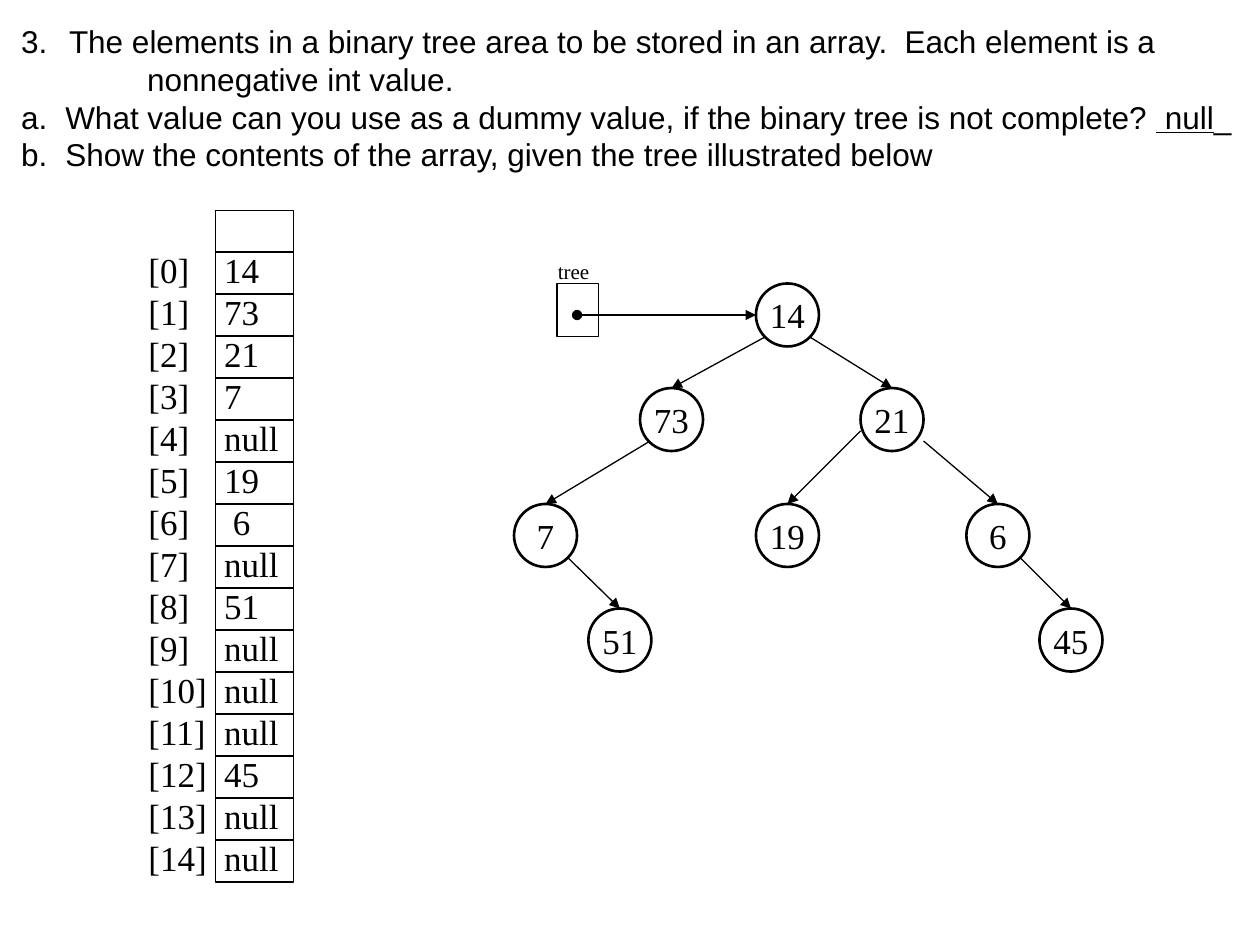
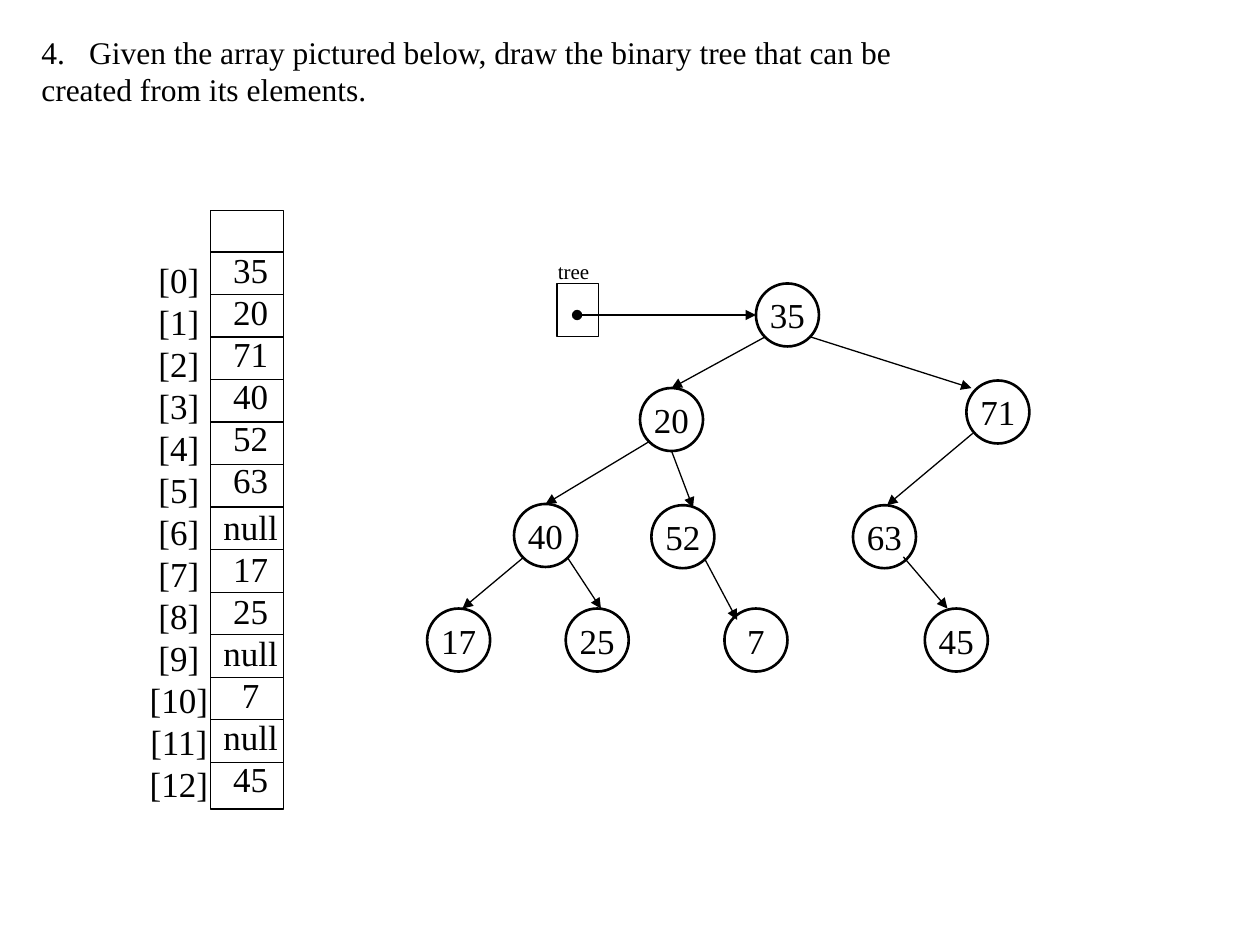
from dataclasses import dataclass

from lxml import etree
from pptx import Presentation
from pptx.dml.color import RGBColor
from pptx.enum import shapes, text
from pptx.oxml import ns
from pptx.util import Inches, Pt

INK = "000000"
SERIF, SANS = "Times New Roman", "Arial"
NODE_SIZE = 0.5
ARRAY_TOP = 1.67
FIRST_LINE = 2.0
LEFT, CENTER = text.PP_ALIGN.LEFT, text.PP_ALIGN.CENTER


@dataclass
class Line:
    content: str
    underlined: str = ""
    ending: str = ""
    margin: float = 0
    hang: float = 0
    number: int = 0
    before: float = 0


@dataclass
class Style:
    font: str = SERIF
    size: float = 20
    spacing: float = 24
    align: text.PP_ALIGN = LEFT


@dataclass
class Column:
    left: float
    top: float
    width: float
    align: text.PP_ALIGN


@dataclass
class ArrayBox:
    left: float
    width: float
    height: float
    row: float
    indices: Column
    contents: Column
    values: list[Line]


@dataclass
class Node:
    label: str
    left: float
    top: float


@dataclass
class Edge:
    parent: str
    child: str
    start: tuple[float, float] = (0.08, 0.42)
    end: tuple[float, float] = (0.25, 0)


@dataclass
class Exercise:
    question_at: tuple[float, float, float]
    question: list[Line]
    question_style: Style
    array: ArrayBox
    nodes: list[Node]
    edges: list[Edge]


def color(value: str) -> RGBColor:
    return RGBColor.from_string(value)


def add_run(paragraph, content: str, style: Style, underline: bool = False) -> None:
    run = paragraph.add_run()
    run.text = content
    formats = {"name": style.font, "size": Pt(style.size), "underline": underline or None}
    for attribute, value in formats.items():
        setattr(run.font, attribute, value)
    run.font.color.rgb = color(INK)


def indent(paragraph, line: Line) -> None:
    properties = paragraph._p.get_or_add_pPr()
    properties.set("marL", str(Inches(line.margin)))
    properties.set("indent", str(-Inches(line.hang)))
    if line.number:
        numbering = etree.SubElement(properties, ns.qn("a:buAutoNum"))
        numbering.set("type", "arabicPeriod")
        numbering.set("startAt", str(line.number))


def add_lines(slide, left: float, top: float, width: float, lines: list[Line], style: Style) -> None:
    height = len(lines) * style.spacing / 72 + 0.1
    frame = slide.shapes.add_textbox(Inches(left), Inches(top), Inches(width), Inches(height)).text_frame
    frame.word_wrap = True
    for position, line in enumerate(lines):
        paragraph = frame.add_paragraph() if position else frame.paragraphs[0]
        formats = {"alignment": style.align, "line_spacing": Pt(style.spacing), "space_before": Pt(line.before)}
        for attribute, value in formats.items():
            setattr(paragraph, attribute, value)
        indent(paragraph, line)
        add_run(paragraph, line.content, style)
        if line.underlined:
            add_run(paragraph, line.underlined, style, underline=True)
            add_run(paragraph, line.ending, style)


def add_outline(slide, kind, left: float, top: float, width: float, height: float, weight: float = 0.75):
    outline = slide.shapes.add_shape(kind, Inches(left), Inches(top), Inches(width), Inches(height))
    outline.shadow.inherit = False
    outline.fill.background()
    outline.line.color.rgb = color(INK)
    outline.line.width = Pt(weight)
    return outline


def add_line(slide, start: tuple[float, float], end: tuple[float, float], **ends: str) -> None:
    points = [Inches(value) for value in (*start, *end)]
    line = slide.shapes.add_connector(shapes.MSO_CONNECTOR.STRAIGHT, *points)
    line.line.color.rgb = color(INK)
    line.line.width = Pt(0.75)
    for tag, kind in ends.items():
        etree.SubElement(line.line._get_or_add_ln(), ns.qn(f"a:{tag}")).set("type", kind)
    etree.SubElement(line._element.spPr, ns.qn("a:effectLst"))


def add_array(slide, array: ArrayBox) -> None:
    add_outline(slide, shapes.MSO_SHAPE.RECTANGLE, array.left, ARRAY_TOP, array.width, array.height)
    for position in range(len(array.values)):
        level = FIRST_LINE + position * array.row
        add_line(slide, (array.left, level), (array.left + array.width, level))
    indices = [Line(f"[{position}]") for position in range(len(array.values))]
    for column, lines in ((array.indices, indices), (array.contents, array.values)):
        add_lines(slide, column.left, column.top, column.width, lines, Style(align=column.align))


def add_node(slide, node: Node) -> None:
    circle = add_outline(slide, shapes.MSO_SHAPE.OVAL, node.left, node.top, NODE_SIZE, NODE_SIZE, 1.5)
    frame = circle.text_frame
    formats = {"word_wrap": False, "vertical_anchor": text.MSO_ANCHOR.MIDDLE,
               "margin_left": 0, "margin_right": 0, "margin_top": 0, "margin_bottom": 0}
    for attribute, value in formats.items():
        setattr(frame, attribute, value)
    frame.paragraphs[0].alignment = CENTER
    add_run(frame.paragraphs[0], node.label, Style())


def add_tree(slide, nodes: list[Node], edges: list[Edge]) -> None:
    by_label = {node.label: node for node in nodes}
    for node in nodes:
        add_node(slide, node)
    for edge in edges:
        parent, child = by_label[edge.parent], by_label[edge.child]
        add_line(slide, (parent.left + edge.start[0], parent.top + edge.start[1]),
                 (child.left + edge.end[0], child.top + edge.end[1]), tailEnd="triangle")
    add_outline(slide, shapes.MSO_SHAPE.RECTANGLE, 4.42, 2.25, 0.33, 0.42)
    add_line(slide, (4.58, 2.5), (6, 2.5), headEnd="oval", tailEnd="triangle")
    add_lines(slide, 4.33, 2, 0.6, [Line("tree")], Style(size=12, spacing=14.4))


RIGHT_START = (0.42, 0.42)

STORE_TREE = Exercise(
    (0.07, 0.13, 9.93),
    [
        Line("The elements in a binary tree area to be stored in an array.  Each element is a",
             margin=0.38, hang=0.38, number=3),
        Line("nonnegative int value.", margin=1),
        Line("a.\tWhat value can you use as a dummy value, if the binary tree is not complete? ",
             " null", "_", margin=0.35, hang=0.35),
        Line("b.\tShow the contents of the array, given the tree illustrated below", margin=0.35, hang=0.35),
    ],
    Style(SANS, 18, 21.5),
    ArrayBox(
        1.71, 0.62, 5.33, 1 / 3,
        Column(1.08, 1.92, 0.75, LEFT), Column(1.68, 1.92, 0.75, LEFT),
        [Line(value) for value in ("14", "73", "21", "7", "null", "19", " 6", "null", "51",
                                   "null", "null", "null", "45", "null", "null")],
    ),
    [Node("14", 6, 2.25), Node("73", 5.08, 3.08), Node("21", 6.83, 3.08), Node("7", 4.08, 4),
     Node("51", 4.67, 4.83), Node("19", 6, 4), Node("6", 7.67, 4), Node("45", 8.25, 4.83)],
    [Edge("14", "73"), Edge("14", "21", RIGHT_START), Edge("73", "7"),
     Edge("21", "19", (0, 0.34)), Edge("21", "6", (0.5, 0.42)),
     Edge("7", "51", RIGHT_START), Edge("6", "45", RIGHT_START)],
)

DRAW_TREE = Exercise(
    (0.23, 0.21, 8),
    [
        Line("Given the array pictured below, draw the binary tree that can be",
             margin=0.38, hang=0.38, number=4),
        Line("created from its elements."),
    ],
    Style(SERIF, 18, 21.6),
    ArrayBox(
        1.67, 0.58, 4.75, 0.3375,
        Column(1.02, 2, 0.8, CENTER), Column(1.59, 1.92, 0.8, CENTER),
        [Line(value, before=3 if position == 6 else 0) for position, value in enumerate(
            ("35", "20", "71", "40", "52", "63", "null", "17", "25", "null", "7", "null", "45"))],
    ),
    [Node("35", 6, 2.25), Node("20", 5.08, 3.08), Node("71", 7.67, 3.02), Node("40", 4.08, 4),
     Node("17", 3.39, 4.83), Node("63", 6.77, 4.01), Node("7", 5.75, 4.83), Node("52", 5.17, 4.01),
     Node("25", 4.49, 4.83), Node("45", 7.34, 4.83)],
    [Edge("35", "20"), Edge("35", "71", RIGHT_START, (0.04, 0.06)), Edge("20", "40"),
     Edge("20", "52", (0.25, 0.5), (0.33, 0.02)), Edge("71", "63", (0.05, 0.42), (0.27, 0)),
     Edge("40", "17", end=(0.28, 0)), Edge("40", "25", RIGHT_START, (0.28, 0)),
     Edge("52", "7", RIGHT_START, (0.1, 0.09)), Edge("63", "45", (0.4, 0.41), (0.18, 0))],
)


def main() -> None:
    deck = Presentation()
    deck.slide_width, deck.slide_height = Inches(10), Inches(7.5)
    for exercise in (STORE_TREE, DRAW_TREE):
        slide = deck.slides.add_slide(deck.slide_layouts[6])
        add_lines(slide, *exercise.question_at, exercise.question, exercise.question_style)
        add_array(slide, exercise.array)
        add_tree(slide, exercise.nodes, exercise.edges)
    deck.save("out.pptx")


if __name__ == "__main__":
    main()
